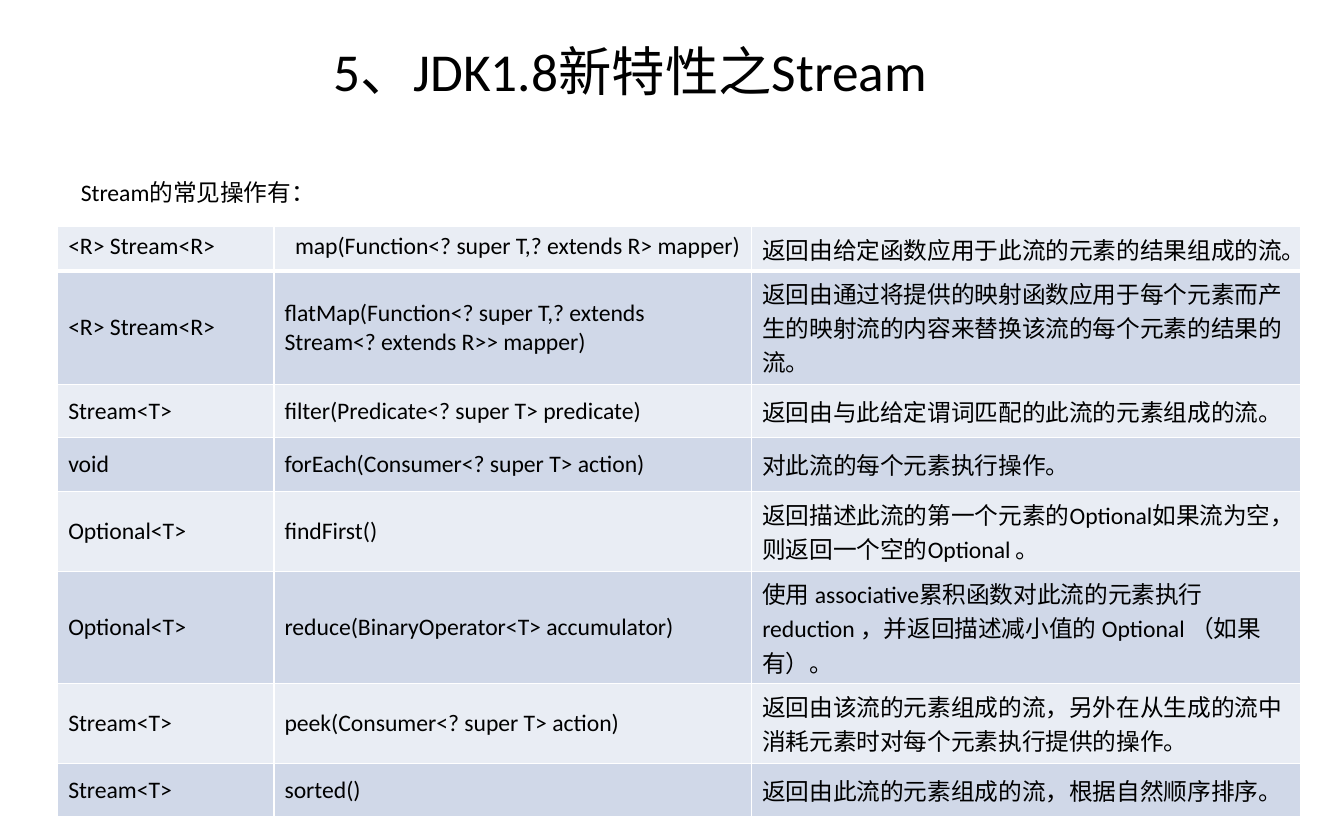
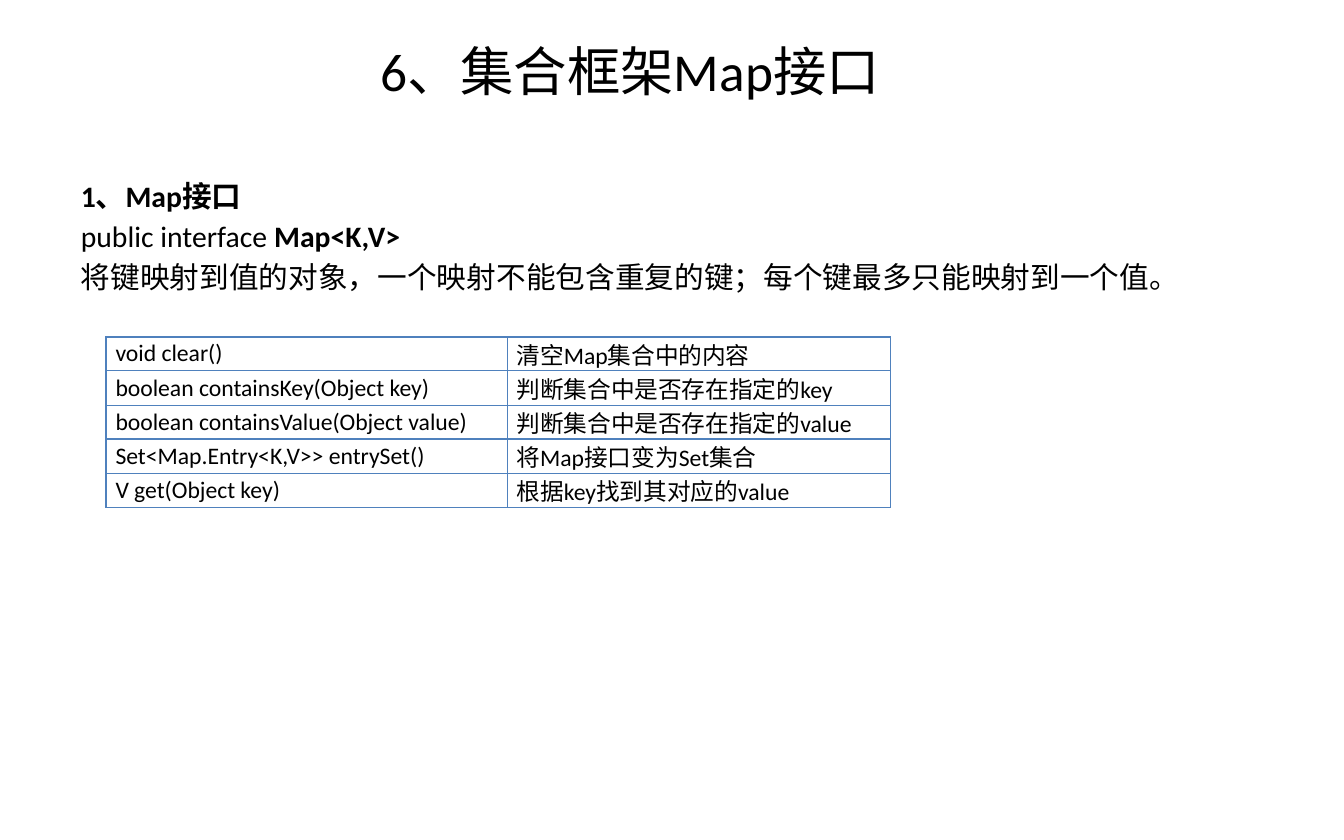
"""Build two slides on Java streams and the Map interface."""
from pptx import Presentation
from pptx.dml.color import RGBColor
from pptx.enum.text import MSO_ANCHOR as Anchor, MSO_AUTO_SIZE as AutoSize, PP_ALIGN as Align
from pptx.oxml.ns import qn
from pptx.util import Emu, Pt
from lxml.etree import SubElement

PX = 9000
FONT = "Calibri"
COLORS = {"text": "000000", "white": "FFFFFF", "light": "E9EDF4",
          "dark": "D0D8E8", "grid": "4F81BD"}
SLIDE_SIZE = (1280, 800)
TITLE_BOX = (160, 33, 880, 67)
BODY_BOX = (64, 162, 1152, 540)
TEXT_MARGINS = (13, 7, 13, 7)

STREAM_ROWS = [
    ("<R> Stream<R>", "map(Function<? super T,? extends R> mapper)",
     "返回由给定函数应用于此流的元素的结果组成的流。"),
    ("<R> Stream<R>", "flatMap(Function<? super T,? extends Stream<? extends R>> mapper)",
     "返回由通过将提供的映射函数应用于每个元素而产生的映射流的内容来替换该流的每个元素的结果的流。"),
    ("Stream<T>", "filter(Predicate<? super T> predicate)",
     "返回由与此给定谓词匹配的此流的元素组成的流。"),
    ("void", "forEach(Consumer<? super T> action)", "对此流的每个元素执行操作。"),
    ("Optional<T>", "findFirst()",
     "返回描述此流的第一个元素的Optional如果流为空，则返回一个空的Optional 。"),
    ("Optional<T>", "reduce(BinaryOperator<T> accumulator)",
     "使用 associative累积函数对此流的元素执行 reduction ，并返回描述减小值的 Optional （如果有）。"),
    ("Stream<T>", "peek(Consumer<? super T> action)",
     "返回由该流的元素组成的流，另外在从生成的流中消耗元素时对每个元素执行提供的操作。"),
    ("Stream<T>", "sorted()", "返回由此流的元素组成的流，根据自然顺序排序。"),
]
MAP_ROWS = [
    ("void clear()", "清空Map集合中的内容"),
    ("boolean containsKey(Object key)", "判断集合中是否存在指定的key"),
    ("boolean containsValue(Object value)", "判断集合中是否存在指定的value"),
    ("Set<Map.Entry<K,V>> entrySet()", "将Map接口变为Set集合"),
    ("V get(Object key)", "根据key找到其对应的value"),
]
SLIDES = [
    {"title": "5、JDK1.8新特性之Stream",
     "body": [[("Stream的常见操作有：", False)]], "size": 16,
     "table": {"rows": STREAM_ROWS, "at": (55, 216), "widths": (206, 455, 523),
               "heights": (42, 108, 51, 51, 76, 107, 76, 51),
               "margins": (10, 5, 10, 5),
               "fills": ("light", "dark"), "border": "white", "first_rule": 3,
               "first_anchor": Anchor.TOP, "last_align": Align.LEFT,
               "full_rows": (0, 1, 4, 5, 6), "indents": {(0, 1): 10}}},
    {"title": "6、集合框架Map接口",
     "body": [[("1、Map接口", True)],
              [("public interface ", False), ("Map<K,V>", True)],
              [("将键映射到值的对象，一个映射不能包含重复的键；每个键最多只能映射到一个值。", False)]],
     "size": 20,
     "table": {"rows": MAP_ROWS, "at": (101, 321), "widths": (382, 365),
               "heights": (32, 33, 32, 33, 32), "margins": (9, 0, 9, 0),
               "fills": (), "border": "grid", "first_rule": 1,
               "first_anchor": Anchor.MIDDLE, "last_align": Align.JUSTIFY,
               "full_rows": range(5), "indents": {}}},
]


def px(value):
    return Emu(value * PX)


def write_text(frame, paragraphs, size=16, align=Align.LEFT, space=0):
    for index, runs in enumerate(paragraphs):
        paragraph = frame.add_paragraph() if index else frame.paragraphs[0]
        paragraph.alignment = align
        paragraph.space_before = Pt(space if index else 0)
        for text, bold in runs:
            run = paragraph.add_run()
            run.text = text
            run.font.name, run.font.size, run.font.bold = FONT, Pt(size), bold
            run.font.color.rgb = RGBColor.from_string(COLORS["text"])


def set_margins(target, margins):
    (target.margin_left, target.margin_top,
     target.margin_right, target.margin_bottom) = map(px, margins)


def set_borders(cell, color, **widths):
    properties = cell._tc.get_or_add_tcPr()
    for side in "LRTB":
        line = SubElement(properties, qn(f"a:ln{side}"), w=str(Pt(widths.get(side, 1))))
        fill = SubElement(line, qn("a:solidFill"))
        SubElement(fill, qn("a:srgbClr"), val=COLORS[color])


def add_title(slide, text):
    title = slide.shapes.title
    title.left, title.top, title.width, title.height = map(px, TITLE_BOX)
    frame = title.text_frame
    frame.auto_size, frame.vertical_anchor = AutoSize.NONE, Anchor.MIDDLE
    set_margins(frame, TEXT_MARGINS)
    write_text(frame, [[(text, False)]], size=36, align=Align.CENTER)


def add_body(slide, paragraphs, size):
    frame = slide.shapes.add_textbox(*map(px, BODY_BOX)).text_frame
    frame.word_wrap = True
    set_margins(frame, TEXT_MARGINS)
    write_text(frame, paragraphs, size=size, space=3.5)


def add_grid(slide, content):
    rows, widths, heights = content["rows"], content["widths"], content["heights"]
    box = (*content["at"], sum(widths), sum(heights))
    table = slide.shapes.add_table(len(rows), len(widths), *map(px, box)).table
    table.first_row = table.horz_banding = False
    for column, width in zip(table.columns, widths):
        column.width = px(width)
    for row_index, (row, height) in enumerate(zip(rows, heights)):
        table.rows[row_index].height = px(height)
        for column_index, text in enumerate(row):
            cell = table.cell(row_index, column_index)
            is_last = column_index == len(widths) - 1
            left, *others = content["margins"]
            indent = content["indents"].get((row_index, column_index), 0)
            set_margins(cell, (left + indent, *others))
            cell.vertical_anchor = Anchor.MIDDLE if row_index else content["first_anchor"]
            if is_last and row_index in content["full_rows"]:
                cell.vertical_anchor = Anchor.TOP
            rule = {0: "B", 1: "T"}.get(row_index)
            set_borders(cell, content["border"], **({rule: content["first_rule"]} if rule else {}))
            fills = content["fills"]
            if fills:
                cell.fill.solid()
                color = COLORS[fills[row_index % len(fills)]]
                cell.fill.fore_color.rgb = RGBColor.from_string(color)
            else:
                cell.fill.background()
            write_text(cell.text_frame, [[(text, False)]],
                       align=content["last_align"] if is_last else Align.LEFT)


def main():
    presentation = Presentation()
    presentation.slide_width, presentation.slide_height = map(px, SLIDE_SIZE)
    for content in SLIDES:
        slide = presentation.slides.add_slide(presentation.slide_layouts[5])
        add_title(slide, content["title"])
        add_body(slide, content["body"], content["size"])
        add_grid(slide, content["table"])
    presentation.save("out.pptx")


if __name__ == "__main__":
    main()
